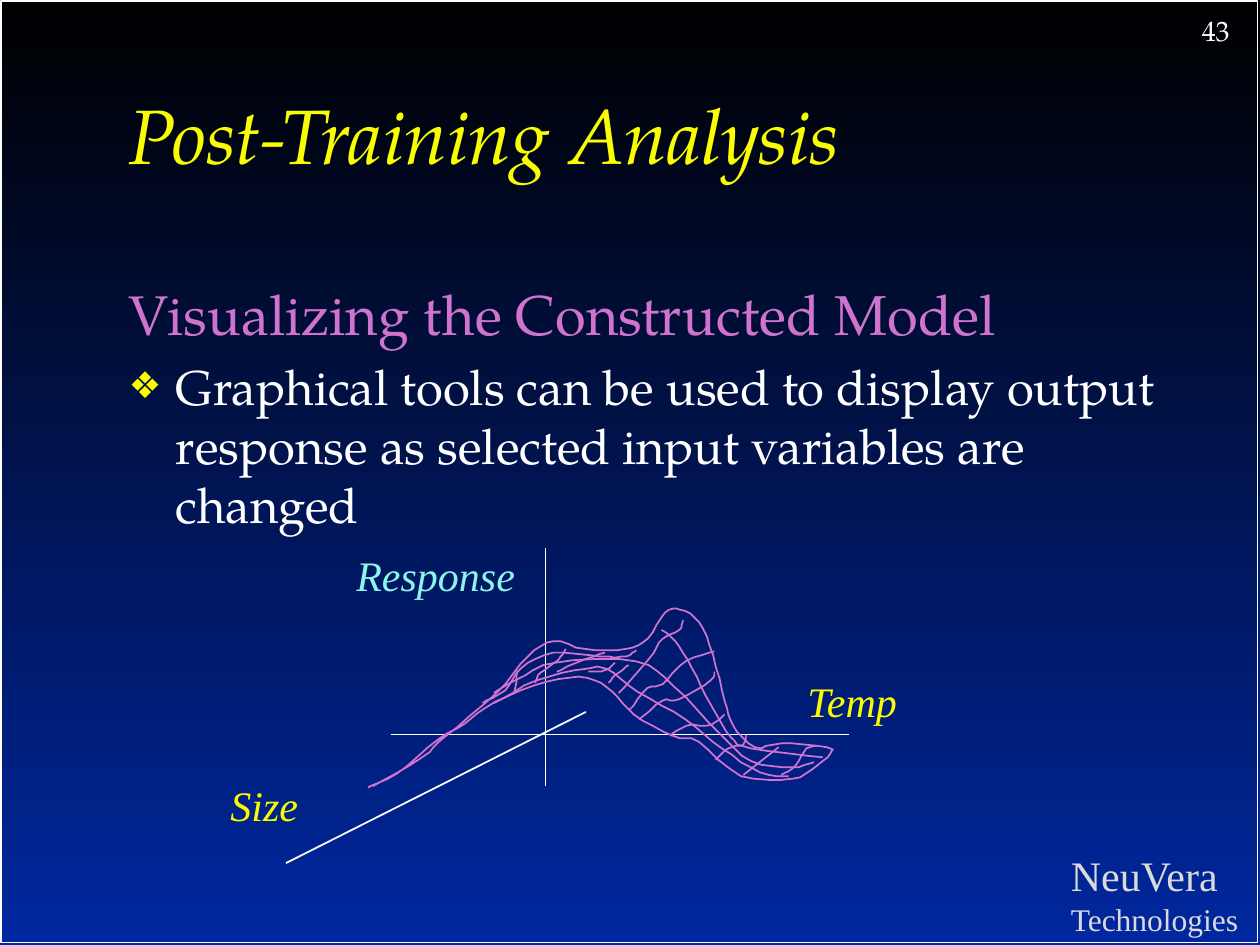
from lxml import etree
from pptx import Presentation
from pptx import util as u
from pptx.dml.color import RGBColor
from pptx.enum import shapes, text
from pptx.oxml.ns import qn

COLORS = {
    "black": "000000", "blue": "00279F", "white": "FFFFFF", "yellow": "FAFD00",
    "orchid": "D073CE", "aqua": "8CF4EA", "grey": "DADADA",
}
SERIF, BOOK = "Times New Roman", "TeX Gyre Pagella"

# Frames are left, top, width, height in points.
TITLE = ("Post-Training Analysis", (66.24, 33.12, 612.72, 87.12))
BODY_FRAME = (66.24, 156.24, 612, 324)
BODY = [  # text, size, colour, bullet
    ("Visualizing the Constructed Model", 32, "orchid", None),
    ("Graphical tools can be used to display output response as selected "
     "input variables are changed", 28, "white", "❖"),
]
BORDER = (0.72, 0.72, 717.84, 537.84)
LABELS = [  # frame, font, colour, italic, lines of (text, size)
    ((679.68, 4.32, 36, 25.92), BOOK, "white", False, [("43", 16)]),
    ((604.8, 481.68, 111.6, 57.6), SERIF, "grey", False,
     [("NeuVera", 24), ("Technologies", 18)]),
    ((196.56, 310.32, 105.84, 36.72), SERIF, "aqua", True, [("Response", 24)]),
    ((124.56, 442.08, 54, 36.72), SERIF, "yellow", True, [("Size", 24)]),
    ((454.32, 382.32, 68.4, 36.72), SERIF, "yellow", True, [("Temp", 24)]),
]

# Plot coordinates are in units of 0.72 points.
UNIT = 0.72
STEPS = 4
AXES = [((433, 435), (433, 624)), ((227, 685), (465, 565)), ((310, 583), (674, 583))]
MESH_LINE = ((618, 593), (590, 615))
OUTLINE = [
    (292, 625), (315, 614), (349, 586), (368, 575), (393, 557), (434, 541),
    (466, 538), (486, 549), (503, 567), (534, 584), (555, 589), (588, 616),
    (629, 618), (644, 611), (659, 598), (656, 593), (620, 590), (599, 593),
    (582, 576), (575, 556), (566, 520), (555, 494), (540, 484), (528, 486),
    (514, 507), (497, 515), (464, 515), (439, 509), (419, 521), (393, 551),
    (354, 584), (335, 601), (296, 624),
]
MESH = [
    [(650, 592), (640, 594), (632, 607), (620, 615)],
    [(592, 583), (590, 591), (578, 594), (568, 603)],
    [(575, 567), (565, 575), (545, 576), (532, 584)],
    [(567, 533), (564, 540), (539, 555), (526, 556), (507, 571)],
    [(567, 517), (544, 525), (526, 543), (514, 546), (500, 563)],
    [(542, 492), (539, 500), (526, 507), (515, 523), (491, 550)],
    [(483, 542), (488, 536), (499, 528)],
    [(467, 533), (480, 532), (488, 526)],
    [(442, 533), (460, 525), (480, 518)],
    [(425, 542), (429, 534), (443, 524), (449, 515)],
    [(408, 550), (411, 532)],
    [(392, 550), (411, 539), (441, 526), (505, 525), (535, 545), (570, 581),
     (596, 604), (628, 609), (646, 605)],
    [(392, 558), (426, 540), (464, 531), (482, 531), (506, 549), (544, 571),
     (573, 594), (603, 613), (626, 616)],
    [(383, 558), (401, 548), (414, 530), (439, 518), (476, 521), (497, 521), (505, 516)],
    [(525, 500), (536, 509), (549, 530), (564, 559), (580, 585), (596, 594), (653, 601)],
]


def rgb(name):
    return RGBColor.from_string(COLORS[name])


def place(sp, frame):
    sp.left, sp.top, sp.width, sp.height = map(u.Pt, frame)


def add_run(p, words, font, size, color, italic=False):
    r = p.add_run()
    r.text = words
    r.font.name, r.font.size, r.font.italic = font, u.Pt(size), italic
    r.font.color.rgb = rgb(color)


def set_line(sp, color):
    sp.line.color.rgb = rgb(color)
    sp.line.width = u.Pt(1)


def set_bullet(p, char):
    pPr = p._p.get_or_add_pPr()
    pPr.set("marL", str(u.Pt(27)))
    pPr.set("indent", str(-u.Pt(27)))
    if char is None:
        etree.SubElement(pPr, qn("a:buNone"))
        return
    clr = etree.SubElement(pPr, qn("a:buClr"))
    etree.SubElement(clr, qn("a:srgbClr"), val=COLORS["yellow"])
    etree.SubElement(pPr, qn("a:buSzPct"), val="75000")
    etree.SubElement(pPr, qn("a:buChar"), char=char)


def add_segment(s, ends, color):
    line = s.shapes.add_connector(shapes.MSO_CONNECTOR.STRAIGHT,
                                  *(u.Pt(v * UNIT) for end in ends for v in end))
    set_line(line, color)
    etree.SubElement(line._element.spPr, qn("a:effectLst"))


def smooth(points):
    """Return points along a Catmull-Rom curve through the given ones."""
    padded = [points[0], *points, points[-1]]
    curve = [points[0]]
    for quad in zip(padded, padded[1:], padded[2:], padded[3:]):
        for t in (k / STEPS for k in range(1, STEPS + 1)):
            curve.append(tuple(
                b + t * ((c - a) + t * ((2 * a - 5 * b + 4 * c - d)
                                        + t * (3 * b - a - 3 * c + d))) / 2
                for a, b, c, d in zip(*quad)))
    return curve


def add_curve(s, points):
    start, *rest = smooth(points)
    builder = s.shapes.build_freeform(*start, scale=u.Pt(UNIT))
    builder.add_line_segments(rest, close=False)
    sp = builder.convert_to_shape()
    sp.fill.background()
    sp.shadow.inherit = False
    set_line(sp, "orchid")


def add_label(s, frame, font, color, italic, lines):
    tf = s.shapes.add_textbox(*map(u.Pt, frame)).text_frame
    tf.word_wrap = False
    tf.auto_size = text.MSO_AUTO_SIZE.SHAPE_TO_FIT_TEXT
    for i, (words, size) in enumerate(lines):
        p = tf.add_paragraph() if i else tf.paragraphs[0]
        add_run(p, words, font, size, color, italic)


def main():
    prs = Presentation()
    prs.slide_width, prs.slide_height = u.Pt(720), u.Pt(540)
    s = prs.slides.add_slide(prs.slide_layouts[1])
    fill = s.background.fill
    fill.gradient()
    fill.gradient_angle = 270
    for stop, color, position in zip(fill.gradient_stops, ("black", "blue"), (0, 1)):
        stop.color.rgb, stop.position = rgb(color), position

    title, body = s.shapes.title, s.placeholders[1]
    place(title, TITLE[1])
    title.text_frame.vertical_anchor = text.MSO_ANCHOR.MIDDLE
    p = title.text_frame.paragraphs[0]
    p.alignment = text.PP_ALIGN.LEFT
    add_run(p, TITLE[0], BOOK, 44, "yellow", True)

    place(body, BODY_FRAME)
    for i, (words, size, color, bullet) in enumerate(BODY):
        p = body.text_frame.add_paragraph() if i else body.text_frame.paragraphs[0]
        p.space_before = u.Pt(size * 0.2)
        set_bullet(p, bullet)
        add_run(p, words, BOOK, size, color)
    for sp in (title, body):
        sp.text_frame.auto_size = text.MSO_AUTO_SIZE.NONE

    border = s.shapes.add_shape(shapes.MSO_SHAPE.RECTANGLE, *map(u.Pt, BORDER))
    border.fill.background()
    border.shadow.inherit = False
    set_line(border, "white")
    for axis in AXES:
        add_segment(s, axis, "white")
    for label in LABELS:
        add_label(s, *label)
    for curve in [OUTLINE, *MESH]:
        add_curve(s, curve)
    add_segment(s, MESH_LINE, "orchid")
    prs.save("out.pptx")


if __name__ == "__main__":
    main()
